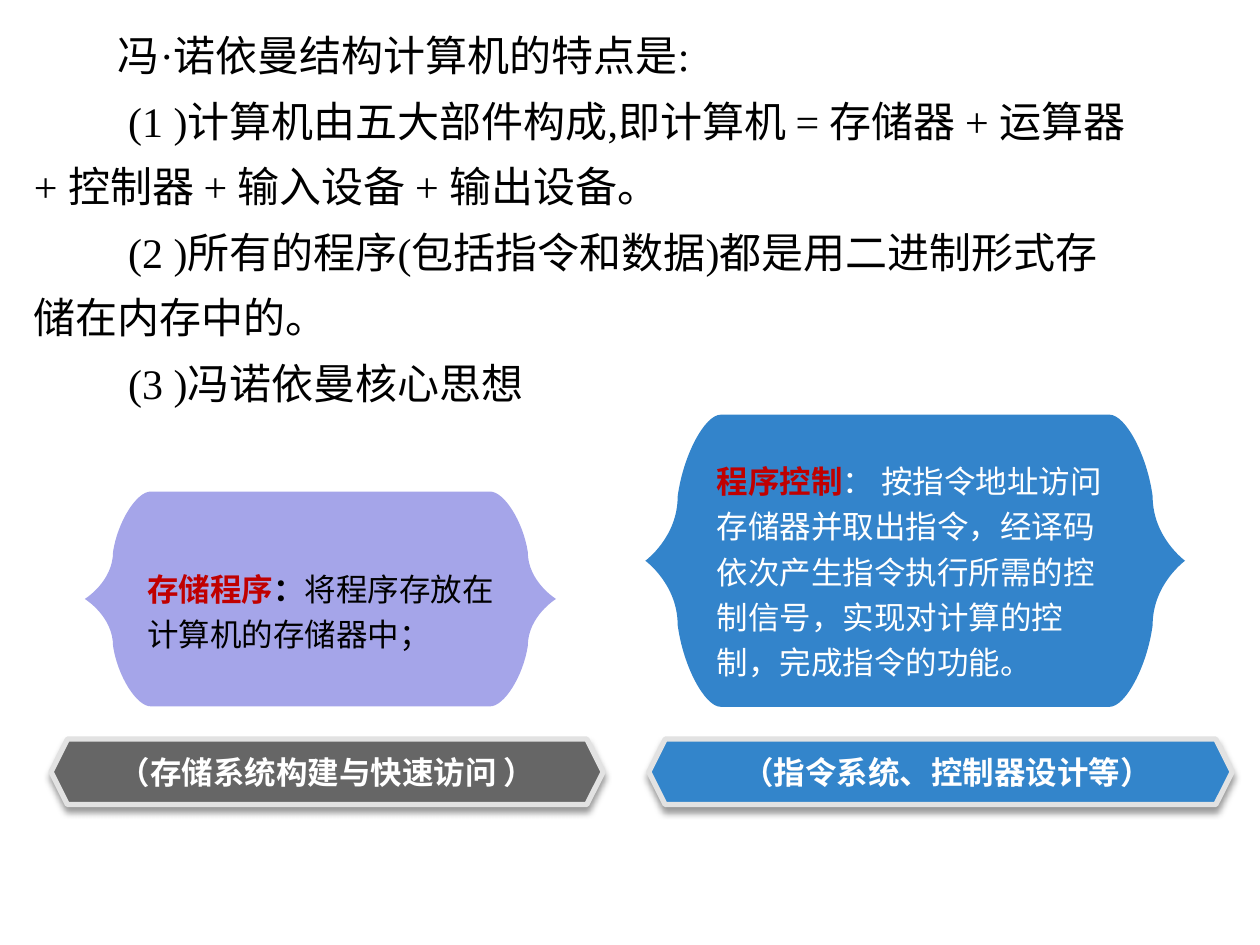
from lxml import etree
from pptx import Presentation, util as u
from pptx.dml.color import RGBColor
from pptx.enum import shapes, text
from pptx.oxml import parse_xml
from pptx.oxml.ns import nsdecls, qn

SANS, SERIF = "Noto Sans CJK SC", "Times New Roman"
WHITE, BLACK, RED = "FFFFFF", "000000", "C00000"
HEADING = "冯·诺依曼结构计算机的特点是:"
POINTS = [
    "(1 )计算机由五大部件构成,即计算机 = 存储器 + 运算器 + 控制器 + 输入设备 + 输出设备。",
    "(2 )所有的程序(包括指令和数据)都是用二进制形式存储在内存中的。",
    "(3 )冯诺依曼核心思想",
]
QUARTER = [(0.86, 0), (0.89, 0), (0.93, 0.14), (0.94, 0.28),
           (0.94, 0.42), (1, 0.5), (1, 0.5)]


def rgb(color):
    """Turn a hex string into a colour."""
    return RGBColor.from_string(color)


def cm(*lengths):
    """Turn numbers into lengths in centimetres."""
    return [u.Cm(n) for n in lengths]


def add_text(p, words, size=18, color=BLACK, font=SANS, bold=False):
    """Append a formatted run to a paragraph."""
    r = p.add_run()
    r.text = words
    r.font.size, r.font.bold, r.font.name = u.Pt(size), bold, font
    r.font.color.rgb = rgb(color)
    east = etree.SubElement(r._r.get_or_add_rPr(), qn("a:ea"))
    east.set("typeface", SANS)


def add_title(slide):
    """Fill the title placeholder with the indented list of features."""
    sp = slide.shapes.title
    sp.left, sp.top, sp.width, sp.height = cm(0.43, 0.17, 22.56, 15.67)
    tf = sp.text_frame
    tf.word_wrap, tf.auto_size = True, text.MSO_AUTO_SIZE.NONE
    tf.vertical_anchor = text.MSO_ANCHOR.TOP
    for i, words in enumerate([HEADING, *POINTS]):
        p = tf.add_paragraph() if i else tf.paragraphs[0]
        p.alignment, p.line_spacing = text.PP_ALIGN.LEFT, 1.3
        p.space_before = p.space_after = u.Pt(0)
        pPr = p._p.get_or_add_pPr()
        pPr.set("marL", "0")
        pPr.set("indent", str(u.Cm(1.9 if i else 1.69)))
        add_text(p, words, 24, font=SERIF)


def curve_to(line, points):
    """Replace a straight path segment by a cubic curve."""
    curve = etree.Element(qn("a:cubicBezTo"))
    for x, y in points:
        etree.SubElement(curve, qn("a:pt"), x=str(x), y=str(y))
    line.getparent().replace(line, curve)


def add_bracket(slide, left, top, width, height, color, alpha=100):
    """Draw a panel with pointed sides, mirrored from one quarter."""
    right = QUARTER + [(x, 1 - y) for x, y in QUARTER[-2::-1]]
    sides = [right, [(1 - x, 1 - y) for x, y in right]]
    sides = [[(u.Cm(x * width), u.Cm(y * height)) for x, y in side]
             for side in sides]
    ends = [pt for side in sides for pt in side[::3]]
    x0, y0 = cm(left, top)
    builder = slide.shapes.build_freeform(*ends[0])
    builder.add_line_segments(ends[1:], close=True)
    sp = builder.convert_to_shape(x0, y0)
    lines = list(sp._element.iter(qn("a:lnTo")))
    for side, segments in zip(sides, (lines[:4], lines[5:9])):
        for i, line in enumerate(segments):
            curve_to(line, side[3 * i + 1:3 * i + 4])
    sp.shadow.inherit = False
    sp.line.fill.background()
    sp.fill.solid()
    sp.fill.fore_color.rgb = rgb(color)
    if alpha < 100:
        clr = sp._element.spPr.find(".//" + qn("a:srgbClr"))
        etree.SubElement(clr, qn("a:alpha")).set("val", str(alpha * 1000))


def add_box(slide, box, runs, align=text.PP_ALIGN.LEFT, spacing=1.0):
    """Add a middle-anchored text box made of (words, format) runs."""
    sp = slide.shapes.add_textbox(*cm(*box))
    tf = sp.text_frame
    tf.word_wrap, tf.vertical_anchor = True, text.MSO_ANCHOR.MIDDLE
    p = tf.paragraphs[0]
    p.alignment, p.line_spacing = align, spacing
    p._p.get_or_add_pPr().set("hangingPunct", "0")
    for words, style in runs:
        add_text(p, words, **style)
    return sp


def add_banner(slide, box, color, words, label_box):
    """Add a shadowed hexagon with a centred label."""
    sp = slide.shapes.add_shape(shapes.MSO_SHAPE.HEXAGON, *cm(*box))
    sp.fill.solid()
    sp.fill.fore_color.rgb = rgb(color)
    sp.line.color.rgb, sp.line.width = rgb("E2E2E2"), u.Pt(3)
    sp._element.spPr.append(parse_xml(
        f'<a:effectLst {nsdecls("a")}><a:outerShdw blurRad="{u.Pt(4)}" '
        f'dist="{u.Pt(3)}" dir="5400000" rotWithShape="0">'
        '<a:srgbClr val="000000"><a:alpha val="40000"/></a:srgbClr>'
        '</a:outerShdw></a:effectLst>'))
    add_box(slide, label_box, [(words, dict(color=WHITE, bold=True))],
            text.PP_ALIGN.CENTER)


def main():
    """Build and save the slide."""
    prs = Presentation()
    prs.slide_width, prs.slide_height = cm(25.4, 19.05)
    slide = prs.slides.add_slide(prs.slide_layouts[5])
    add_title(slide)
    key = dict(color=RED, bold=True)

    add_bracket(slide, 1.71, 9.91, 9.5, 4.33, "A5A5E9")
    sp = add_box(slide, (2.72, 11.24, 7.54, 2.03), [
        ("存储程序", key),
        ("：", dict(bold=True)),
        ("将程序存放在计算机的存储器中；", {}),
    ], spacing=1.2)
    sp.fill.solid()
    sp.fill.fore_color.rgb = rgb("A5A5E9")

    add_bracket(slide, 13.01, 8.36, 10.88, 5.89, "0066BE", alpha=80)
    add_box(slide, (14.2, 9.49, 8.66, 3.91), [
        ("程序控制", key),
        ("： 按指令地址访问存储器并取出指令，经译码依次产生指令执行所需的控制信号，"
         "实现对计算的控制，完成指令的功能。", dict(color=WHITE)),
    ], spacing=1.2)

    y, h = 14.9, 1.32
    add_banner(slide, (13.08, y, 11.76, h), "3385CB",
               "（指令系统、控制器设计等）", (12.93, y, 12.32, h))
    add_banner(slide, (1.03, y, 11.13, h), "666666",
               "（存储系统构建与快速访问 ）", (1.03, y, 11.13, h))
    prs.save("out.pptx")


if __name__ == "__main__":
    main()
